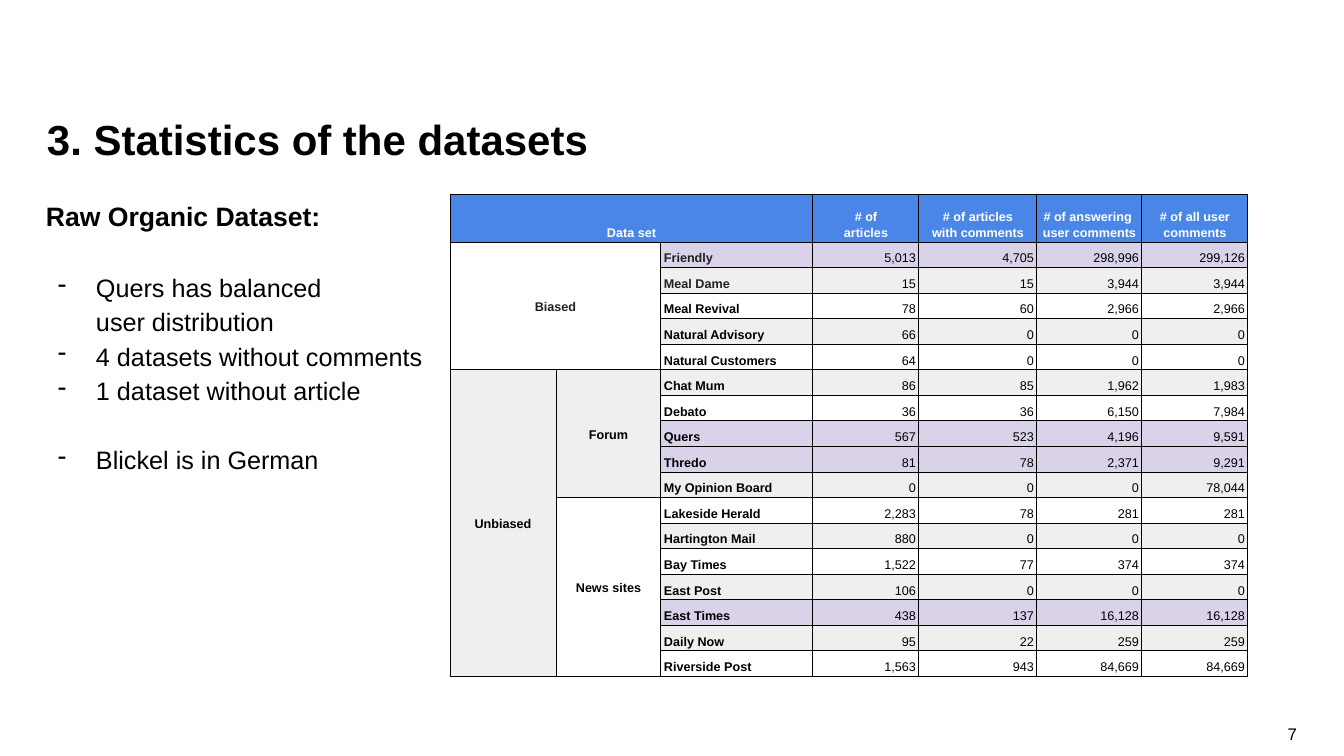
import lxml.etree
import pptx
import pptx.dml.color
import pptx.enum.text
import pptx.oxml.ns
import pptx.util

ALIGN = pptx.enum.text.PP_ALIGN
ANCHOR = pptx.enum.text.MSO_ANCHOR
PX = 914400 / 100.8
COLORS = {
    "black": "000000", "charcoal": "212121", "white": "FFFFFF",
    "header": "4A86E8", "highlight": "D9D2E9", "band": "EFEFEF",
}


def px(length):
    return pptx.util.Emu(round(length * PX))


def style(paragraph, size, color="black", bold=False, align=ALIGN.LEFT, spacing=1.15):
    paragraph.alignment = align
    paragraph.line_spacing = spacing
    for run in paragraph.runs:
        run.font.name = "Arial"
        run.font.size = pptx.util.Pt(size)
        run.font.bold = bold
        run.font.color.rgb = pptx.dml.color.RGBColor.from_string(COLORS[color])


deck = pptx.Presentation()
deck.slide_width, deck.slide_height = px(1344), px(756)
slide = deck.slides.add_slide(deck.slide_layouts[6])

# Page number, title and findings frames
frames = []
for left, top, width, height in [(996, 714, 301, 40), (47, 110, 1251, 91), (46, 195, 1251, 518)]:
    frame = slide.shapes.add_textbox(px(left), px(top), px(width), px(height)).text_frame
    frame.word_wrap = True
    frame.margin_left = frame.margin_right = frame.margin_top = frame.margin_bottom = 0
    frames.append(frame)
page_number, title, findings = frames

page_number.text = "7"
page_number.vertical_anchor = ANCHOR.MIDDLE
style(page_number.paragraphs[0], 12, align=ALIGN.RIGHT, spacing=1.0)

title.text = "3. Statistics of the datasets"
style(title.paragraphs[0], 30, bold=True, spacing=1.06)

# Findings list: text and the gap above it in points
findings.text = "Raw Organic Dataset:"
style(findings.paragraphs[0], 19, bold=True, spacing=1.14)
for finding, gap in [
    ("Quers has balanced \vuser distribution", 26),
    ("4 datasets without comments", 0),
    ("1 dataset without article", 0),
    ("Blickel is in German", 25),
]:
    paragraph = findings.add_paragraph()
    paragraph.text = finding
    style(paragraph, 18, spacing=1.14)
    paragraph.space_before = pptx.util.Pt(gap)
    properties = paragraph._p.get_or_add_pPr()
    properties.set("marL", str(px(50)))
    properties.set("indent", str(px(-38)))
    bullet = lxml.etree.SubElement(properties, pptx.oxml.ns.qn("a:buChar"))
    bullet.set("char", "-")

# Dataset statistics: name, four counts, row fill
headings = ["Data set", "", "", "# of\narticles", "# of articles\nwith comments",
            "# of answering \nuser comments", "# of all user comments"]
datasets = [
    ("Friendly", "5,013", "4,705", "298,996", "299,126", "highlight"),
    ("Meal Dame", "15", "15", "3,944", "3,944", "band"),
    ("Meal Revival", "78", "60", "2,966", "2,966", None),
    ("Natural Advisory", "66", "0", "0", "0", "band"),
    ("Natural Customers", "64", "0", "0", "0", None),
    ("Chat Mum", "86", "85", "1,962", "1,983", "band"),
    ("Debato", "36", "36", "6,150", "7,984", None),
    ("Quers", "567", "523", "4,196", "9,591", "highlight"),
    ("Thredo", "81", "78", "2,371", "9,291", "highlight"),
    ("My Opinion Board", "0", "0", "0", "78,044", "band"),
    ("Lakeside Herald", "2,283", "78", "281", "281", None),
    ("Hartington Mail", "880", "0", "0", "0", "band"),
    ("Bay Times", "1,522", "77", "374", "374", None),
    ("East Post", "106", "0", "0", "0", "band"),
    ("East Times", "438", "137", "16,128", "16,128", "highlight"),
    ("Daily Now", "95", "22", "259", "259", "band"),
    ("Riverside Post", "1,563", "943", "84,669", "84,669", None),
]
# Category label, first row and column, last row and column, fill
categories = [
    ("Biased", 1, 0, 5, 1, "white"),
    ("Unbiased", 6, 0, 17, 0, "band"),
    ("Forum", 6, 1, 10, 1, "band"),
    ("News sites", 11, 1, 17, 1, None),
]
column_widths = [106, 105, 152, 106, 118, 105, 106]
header_height, body_height = 48, 435

statistics = slide.shapes.add_table(
    len(datasets) + 1, len(column_widths), px(450), px(194),
    px(sum(column_widths)), px(header_height + body_height)).table
statistics.first_row = statistics.horz_banding = False
for column, width in zip(statistics.columns, column_widths):
    column.width = px(width)
for row in statistics.rows:
    row.height = px(body_height) // len(datasets)
statistics.rows[0].height = px(header_height)

# Contents of each cell: row, column, text, fill, colour, bold, alignment, anchor
entries = [(0, c, text, "header", "white", True, ALIGN.CENTER, ANCHOR.BOTTOM)
           for c, text in enumerate(headings)]
for r, (dataset, *counts, fill) in enumerate(datasets, 1):
    name_color = "charcoal" if r <= 2 else "black"
    entries.append((r, 2, dataset, fill, name_color, True, ALIGN.LEFT, ANCHOR.BOTTOM))
    for c, count in enumerate(counts, 3):
        entries.append((r, c, count, fill, "black", False, ALIGN.RIGHT, ANCHOR.BOTTOM))
for label, top, left, bottom, right, fill in categories:
    label_color = "charcoal" if label == "Biased" else "black"
    entries.append((top, left, label, fill, label_color, True, ALIGN.CENTER, ANCHOR.MIDDLE))
    statistics.cell(top, left).merge(statistics.cell(bottom, right))
statistics.cell(0, 0).merge(statistics.cell(0, 2))

for r, c, text, fill, color, bold, align, anchor in entries:
    cell = statistics.cell(r, c)
    cell.text = text
    cell.vertical_anchor = anchor
    for paragraph in cell.text_frame.paragraphs:
        style(paragraph, 9, color, bold, align)
    if fill:
        cell.fill.solid()
        cell.fill.fore_color.rgb = pptx.dml.color.RGBColor.from_string(COLORS[fill])
    else:
        cell.fill.background()

# Margins and thin black borders for every cell
for cell in statistics.iter_cells():
    cell.margin_left = cell.margin_right = px(3)
    cell.margin_top = cell.margin_bottom = px(2)
    cell_properties = cell._tc.get_or_add_tcPr()
    for position, side in enumerate(["a:lnL", "a:lnR", "a:lnT", "a:lnB"]):
        border = lxml.etree.Element(pptx.oxml.ns.qn(side), w=str(pptx.util.Pt(0.75)))
        line_fill = lxml.etree.SubElement(border, pptx.oxml.ns.qn("a:solidFill"))
        lxml.etree.SubElement(line_fill, pptx.oxml.ns.qn("a:srgbClr"), val=COLORS["black"])
        cell_properties.insert(position, border)

deck.save("out.pptx")
